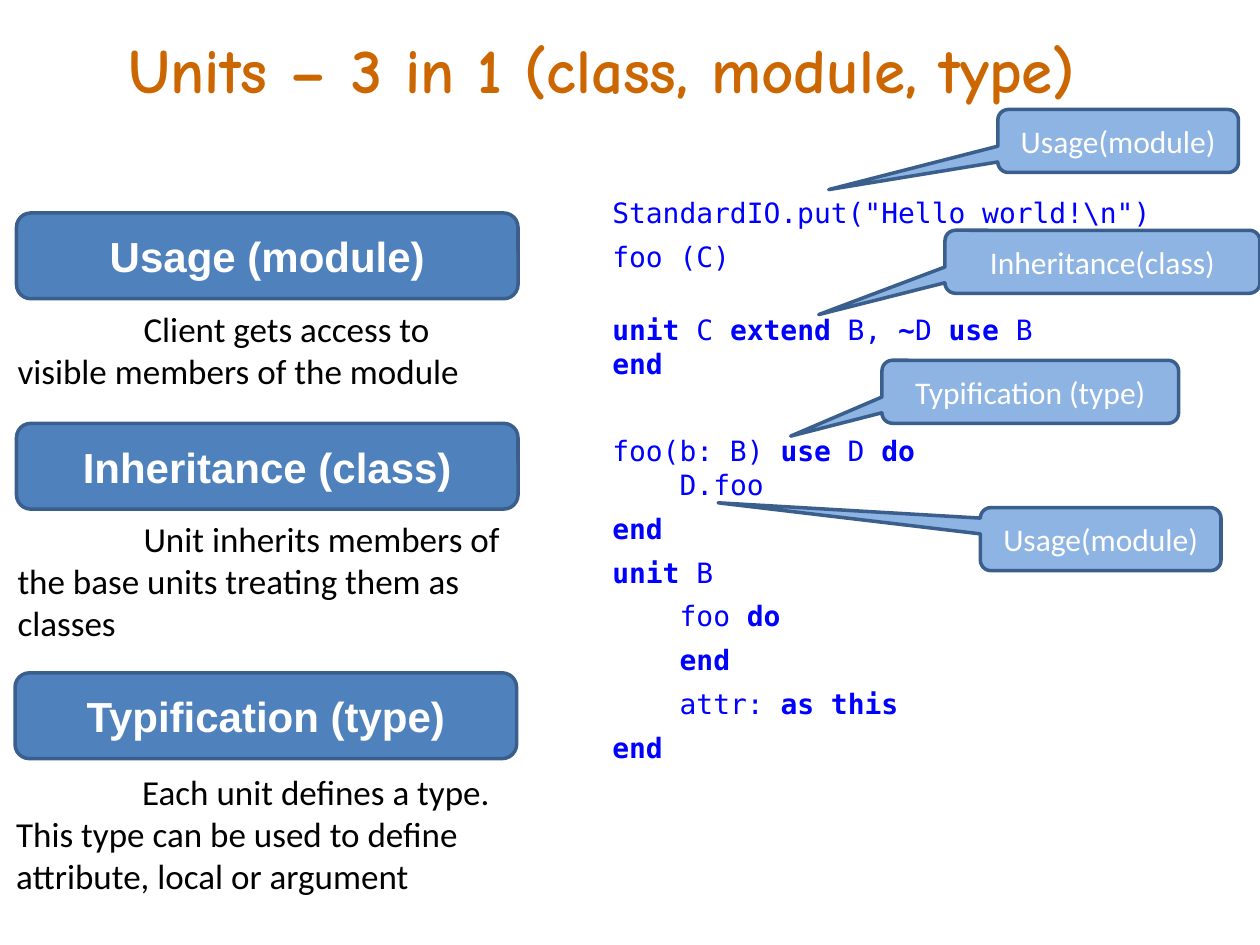
from pptx import Presentation
from pptx.dml.color import RGBColor
from pptx.enum.shapes import MSO_SHAPE
from pptx.enum.text import MSO_ANCHOR, MSO_AUTO_SIZE, PP_ALIGN
from pptx.util import Pt
from lxml import etree

LEFT, CENTER = PP_ALIGN.LEFT, PP_ALIGN.CENTER
TOP, MIDDLE = MSO_ANCHOR.TOP, MSO_ANCHOR.MIDDLE
NO_FIT = MSO_AUTO_SIZE.NONE
ROUND_RECT = MSO_SHAPE.ROUNDED_RECTANGLE
CALLOUT = MSO_SHAPE.ROUNDED_RECTANGULAR_CALLOUT

ORANGE = RGBColor(0xCC, 0x66, 0x00)
BLUE = RGBColor(0x4F, 0x81, 0xBD)
LIGHT_BLUE = RGBColor(0x8E, 0xB4, 0xE3)
OUTLINE = RGBColor(0x3A, 0x5F, 0x8C)
CODE_BLUE = RGBColor(0x00, 0x00, 0xFF)
WHITE = RGBColor(0xFF, 0xFF, 0xFF)
BLACK = RGBColor(0x00, 0x00, 0x00)

TITLE_FONT = dict(name="Comic Neue", size=Pt(36), bold=True)
HEAD_FONT = dict(name="Arial", size=Pt(24), bold=True)
BODY_FONT = dict(name="Calibri", size=Pt(20))
CODE_FONT = dict(name="DejaVu Sans Mono", size=Pt(16))
CALLOUT_FONT = dict(name="Calibri", size=Pt(18))

# Content
TITLE = "Units – 3 in 1 (class, module, type)"

# heading, heading top, description, description top, description height, left
ROLES = [
    ("Usage (module)", 121.7, "Client gets access to visible members of the module",
     172.1, 55.4, 10),
    ("Inheritance (class)", 241.9,
     "Unit inherits members of the base units treating them as classes",
     292.3, 79.9, 10),
    ("Typification (type)", 384.5,
     "Each unit defines a type. This type can be used to define attribute, local or argument",
     437, 79.9, 9.2),
]

# code line (keywords between asterisks), indent level, space before
GAP, TIGHT = 5.8, 0
CODE = [
    ('StandardIO.put("Hello world!\\n")', 0, GAP),
    ("foo (C)", 0, GAP),
    ("*unit* C *extend* B, *~*D *use* B", 0, 22.8),
    ("*end*", 0, TIGHT),
    ("foo(b: B) *use* D *do*", 0, 31),
    ("D.foo", 1, TIGHT),
    ("*end*", 0, GAP),
    ("*unit* B", 0, GAP),
    ("foo *do*", 1, GAP),
    ("*end*", 1, GAP),
    ("attr: *as this*", 1, GAP),
    ("*end*", 0, GAP),
]
CODE_INDENT = 38.5

# text, left, top, width, pointer x and y relative to the box
CALLOUTS = [
    ("Usage(module)", 570.2, 62.6, 137.5, -1.203, 0.772),
    ("Inheritance(class)", 540, 131.6, 180, -0.901, 0.839),
    ("Typification (type)", 504, 205.9, 169.5, -0.808, 0.704),
    ("Usage(module)", 560.2, 290.1, 137.5, -1.59, -0.577),
]


def place(sp, left, top, width, height):
    sp.left, sp.top, sp.width, sp.height = (Pt(v) for v in (left, top, width, height))


def frame(sp, anchor, side=0):
    tf = sp.text_frame
    settings = dict(word_wrap=True, auto_size=NO_FIT, vertical_anchor=anchor,
                    margin_left=Pt(side), margin_right=Pt(side),
                    margin_top=Pt(3.6), margin_bottom=Pt(3.6))
    for key, value in settings.items():
        setattr(tf, key, value)
    return tf


def add_run(p, text, font, color, **extra):
    r = p.add_run()
    r.text = text
    for key, value in {**font, **extra}.items():
        setattr(r.font, key, value)
    r.font.color.rgb = color


def set_indent(p, left, first=0):
    pPr = p._p.get_or_add_pPr()
    pPr.set("marL", str(Pt(left)))
    pPr.set("indent", str(Pt(first)))
    return pPr


def add_box(s, kind, box, fill, text, font, side):
    sp = s.shapes.add_shape(kind, *(Pt(v) for v in box))
    sp.shadow.inherit = False
    sp.fill.solid()
    sp.fill.fore_color.rgb = fill
    sp.line.color.rgb = OUTLINE
    sp.line.width = Pt(2)
    p = frame(sp, MIDDLE, side).paragraphs[0]
    p.alignment = CENTER
    add_run(p, text, font, WHITE)
    return sp


prs = Presentation()
prs.slide_width, prs.slide_height = Pt(720), Pt(540)
s = prs.slides.add_slide(prs.slide_layouts[1])
title, code = s.placeholders

# Title
place(title, 66.2, 13.7, 639.4, 46.1)
p = frame(title, TOP, 7.2).paragraphs[0]
p.alignment = LEFT
add_run(p, TITLE, TITLE_FONT, ORANGE)

# Roles of a unit
for head, head_top, text, text_top, text_height, left in ROLES:
    add_box(s, ROUND_RECT, (left - 0.6, head_top, 286.6, 49), BLUE, head, HEAD_FONT, 0)
    sp = s.shapes.add_textbox(Pt(left), Pt(text_top), Pt(288.7), Pt(text_height))
    p = frame(sp, TOP).paragraphs[0]
    set_indent(p, 0, 72)
    add_run(p, text, BODY_FONT, BLACK)

# Code sample
place(code, 349.9, 108, 370.1, 365.8)
tf = frame(code, TOP)
for i, (line, level, before) in enumerate(CODE):
    p = tf.paragraphs[0] if i == 0 else tf.add_paragraph()
    p.space_before = Pt(before)
    pPr = set_indent(p, level * CODE_INDENT)
    etree.SubElement(pPr, pPr.tag.replace("pPr", "buNone"))
    for j, part in enumerate(line.split("*")):
        if part:
            add_run(p, part, CODE_FONT, CODE_BLUE, bold=j % 2 == 1)

# Callouts
for text, left, top, width, *pointer in CALLOUTS:
    sp = add_box(s, CALLOUT, (left, top, width, 36), LIGHT_BLUE, text, CALLOUT_FONT, 7.2)
    for i, value in enumerate(pointer):
        sp.adjustments[i] = value

prs.save("out.pptx")
